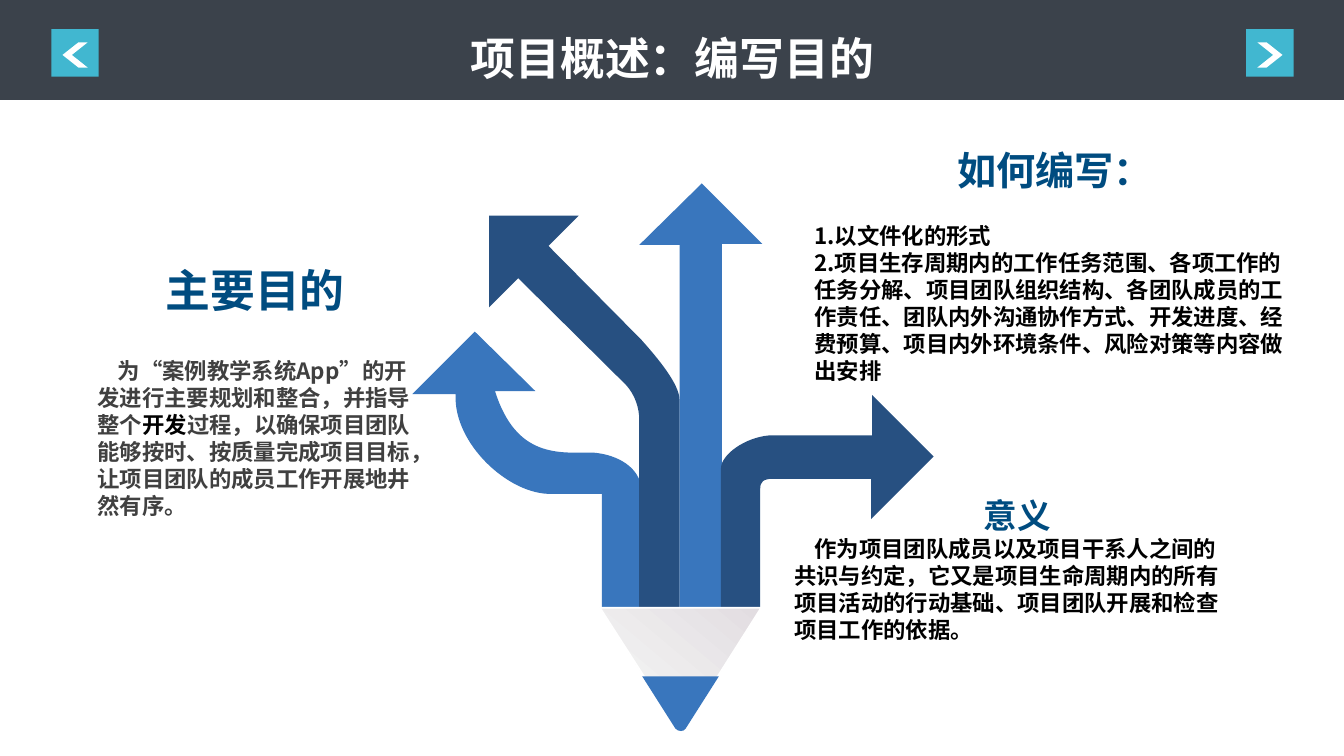
import dataclasses
import typing

import lxml.etree
import pptx
import pptx.dml.color
import pptx.enum.shapes
import pptx.enum.text
import pptx.oxml.ns
import pptx.util

EMU_PER_PX = 9144
LINE_RATIO = 1.2
BODY_SIZE = 16
CJK_FONT = "Noto Sans CJK SC"
BLUE, NAVY, HEADING_BLUE = "3976BD", "275081", "004C80"
BLACK, WHITE, GREY = "000000", "FFFFFF", "404040"
RECTANGLE = pptx.enum.shapes.MSO_SHAPE.RECTANGLE
CHEVRON = pptx.enum.shapes.MSO_SHAPE.CHEVRON


@dataclasses.dataclass(frozen=True)
class NavButton:
    left: int
    points_left: bool


@dataclasses.dataclass(frozen=True)
class Outline:
    fill: str
    start: tuple[int, int]
    segments: list[tuple[int, ...]]


@dataclasses.dataclass(frozen=True)
class Panel:
    box: tuple[int, int, int, int]
    heading: str
    heading_size: int
    gap: int
    indent: int
    body: list[list[tuple[str, str]]]


NAV_BUTTONS = [NavButton(51, True), NavButton(1236, False)]

ARROWS = [
    Outline(BLUE, (635, 603), [
        (633, 613, 607, 619, 597, 603), (597, 490), (547, 490),
        (504, 491, 449, 439, 452, 391), (409, 391), (471, 329), (531, 388), (491, 388),
        (512, 455, 555, 449, 588, 449), (614, 451, 635, 465, 636, 485)]),
    Outline(NAVY, (634, 603), [
        (634, 416), (634, 405, 630, 392, 621, 382), (514, 276), (485, 305), (485, 214),
        (574, 214), (544, 244), (636, 337), (652, 355, 674, 381, 674, 397), (674, 602),
        (673, 618, 635, 616, 634, 603)]),
    Outline(BLUE, (716, 602), [
        (716, 242), (756, 242), (696, 182), (634, 243), (674, 243), (674, 601),
        (672, 614, 715, 617, 716, 602)]),
    Outline(NAVY, (754, 603), [
        (754, 485), (754, 478, 757, 475, 767, 475), (864, 475), (864, 515), (926, 453),
        (865, 392), (865, 432), (763, 432), (739, 434, 715, 451, 715, 465), (715, 604),
        (716, 615, 754, 611, 754, 603)]),
]
PENCIL_WOOD = Outline("F2F2F2", (595, 603), [
    (755, 603), (686, 712), (682, 719, 670, 719, 665, 712)])
PENCIL_TIP = Outline(BLUE, (637, 671), [
    (713, 671), (680, 723), (678, 726, 673, 726, 670, 723)])

PANELS = [
    Panel((87, 256, 332, 293), "主要目的", 32, 29, 20, [[
        ("为“案例教学系统App”的开发进行主要规划和整合，并指导整个", GREY),
        ("开发", BLACK),
        ("过程，以确保项目团队能够按时、按质量完成项目目标，"
         "让项目团队的成员工作开展地井然有序。", GREY)]]),
    Panel((798, 140, 497, 323), "如何编写：", 28, 21, 0, [
        [("1.以文件化的形式", BLACK)],
        [("2.项目生存周期内的工作任务范围、各项工作的任务分解、项目团队组织结构、"
          "各团队成员的工作责任、团队内外沟通协作方式、开发进度、经费预算、"
          "项目内外环境条件、风险对策等内容做出安排", BLACK)]]),
    Panel((778, 486, 454, 185), " 意义", 24, 0, 20, [[
        ("作为项目团队成员以及项目干系人之间的共识与约定，它又是项目生命周期内的所有"
         "项目活动的行动基础、项目团队开展和检查项目工作的依据。", BLACK)]]),
]


def px(length: int) -> int:
    return length * EMU_PER_PX


def rgb(value: str) -> pptx.dml.color.RGBColor:
    return pptx.dml.color.RGBColor.from_string(value)


def paint(shape: typing.Any, fill: str) -> None:
    shape.shadow.inherit = False
    shape.fill.solid()
    shape.fill.fore_color.rgb = rgb(fill)
    shape.line.fill.background()


def draw_preset(shapes: typing.Any, preset: typing.Any, box: tuple[int, int, int, int],
                fill: str) -> typing.Any:
    shape = shapes.add_shape(preset, *map(px, box))
    paint(shape, fill)
    return shape


def draw_nav_button(shapes: typing.Any, button: NavButton) -> None:
    members = shapes.add_group_shape().shapes
    draw_preset(members, RECTANGLE, (button.left, 29, 47, 47), "41B7D0")
    chevron = draw_preset(members, CHEVRON, (button.left + 11, 42, 25, 25), WHITE)
    chevron.adjustments[0] = 0.63
    if button.points_left:
        chevron._element.spPr.find(pptx.oxml.ns.qn("a:xfrm")).set("flipH", "1")


def draw_outline(shapes: typing.Any, outline: Outline) -> typing.Any:
    points = [pair for segment in outline.segments for pair in zip(segment[::2], segment[1::2])]
    builder = shapes.build_freeform(*outline.start, scale=EMU_PER_PX)
    builder.add_line_segments(points, close=True)
    shape = builder.convert_to_shape()
    paint(shape, outline.fill)
    steps = iter(list(shape._element.iter(pptx.oxml.ns.qn("a:lnTo"))))
    for segment in outline.segments:
        pieces = [next(steps) for _ in segment[::2]]
        if len(pieces) == 3:
            curve = lxml.etree.Element(pptx.oxml.ns.qn("a:cubicBezTo"))
            pieces[0].addprevious(curve)
            for piece in pieces:
                curve.append(piece[0])
                piece.getparent().remove(piece)
    return shape


def draw_pencil(shapes: typing.Any) -> None:
    members = shapes.add_group_shape().shapes
    wood = draw_outline(members, PENCIL_WOOD)
    wood.fill.gradient()
    wood.fill.gradient_angle = 230
    for stop, position, colour in zip(wood.fill.gradient_stops, (0, 0.76), ("E2DDE1", "F2F2F2")):
        stop.position = position
        stop.color.rgb = rgb(colour)
    wood.line.color.rgb = rgb(WHITE)
    wood.line.width = pptx.util.Pt(1.25)
    draw_outline(members, PENCIL_TIP)


def format_run(run: typing.Any, size: int, colour: str, latin: str = CJK_FONT) -> None:
    run.font.size = pptx.util.Pt(size)
    run.font.bold = True
    run.font.color.rgb = rgb(colour)
    run.font.name = latin
    east_asian = lxml.etree.SubElement(run.font._element, pptx.oxml.ns.qn("a:ea"))
    east_asian.set("typeface", CJK_FONT)


def draw_panel(shapes: typing.Any, panel: Panel) -> None:
    frame = shapes.add_textbox(*map(px, panel.box)).text_frame
    frame.word_wrap = True
    heading = frame.paragraphs[0]
    heading.text = panel.heading
    heading.alignment = pptx.enum.text.PP_ALIGN.CENTER
    heading.line_spacing = pptx.util.Pt(panel.heading_size * LINE_RATIO)
    heading.space_after = pptx.util.Pt(panel.gap)
    format_run(heading.runs[0], panel.heading_size, HEADING_BLUE)
    for pieces in panel.body:
        paragraph = frame.add_paragraph()
        paragraph.line_spacing = pptx.util.Pt(BODY_SIZE * LINE_RATIO)
        paragraph._p.get_or_add_pPr().set("indent", str(px(panel.indent)))
        for text, colour in pieces:
            run = paragraph.add_run()
            run.text = text
            format_run(run, BODY_SIZE, colour)


def place_title(title: typing.Any) -> None:
    title.left, title.top, title.width, title.height = map(px, (404, 15, 526, 75))
    frame = title.text_frame
    frame.text = "项目概述：编写目的"
    frame.vertical_anchor = pptx.enum.text.MSO_ANCHOR.TOP
    frame.auto_size = pptx.enum.text.MSO_AUTO_SIZE.SHAPE_TO_FIT_TEXT
    paragraph = frame.paragraphs[0]
    paragraph.alignment = pptx.enum.text.PP_ALIGN.CENTER
    paragraph.line_spacing = 1.2
    paragraph.space_before = pptx.util.Pt(0)
    format_run(paragraph.runs[0], 32, WHITE, "Arial")


def main() -> None:
    deck = pptx.Presentation()
    deck.slide_width, deck.slide_height = px(1333), px(750)
    slide = deck.slides.add_slide(deck.slide_layouts[5])
    shapes = slide.shapes
    band = draw_preset(shapes, RECTANGLE, (0, 0, 1333, 99), "3B424B")
    shapes.title._element.addprevious(band._element)
    place_title(shapes.title)
    for button in NAV_BUTTONS:
        draw_nav_button(shapes, button)
    for arrow in ARROWS:
        draw_outline(shapes, arrow)
    draw_pencil(shapes)
    for panel in PANELS:
        draw_panel(shapes, panel)
    deck.save("out.pptx")


if __name__ == "__main__":
    main()
